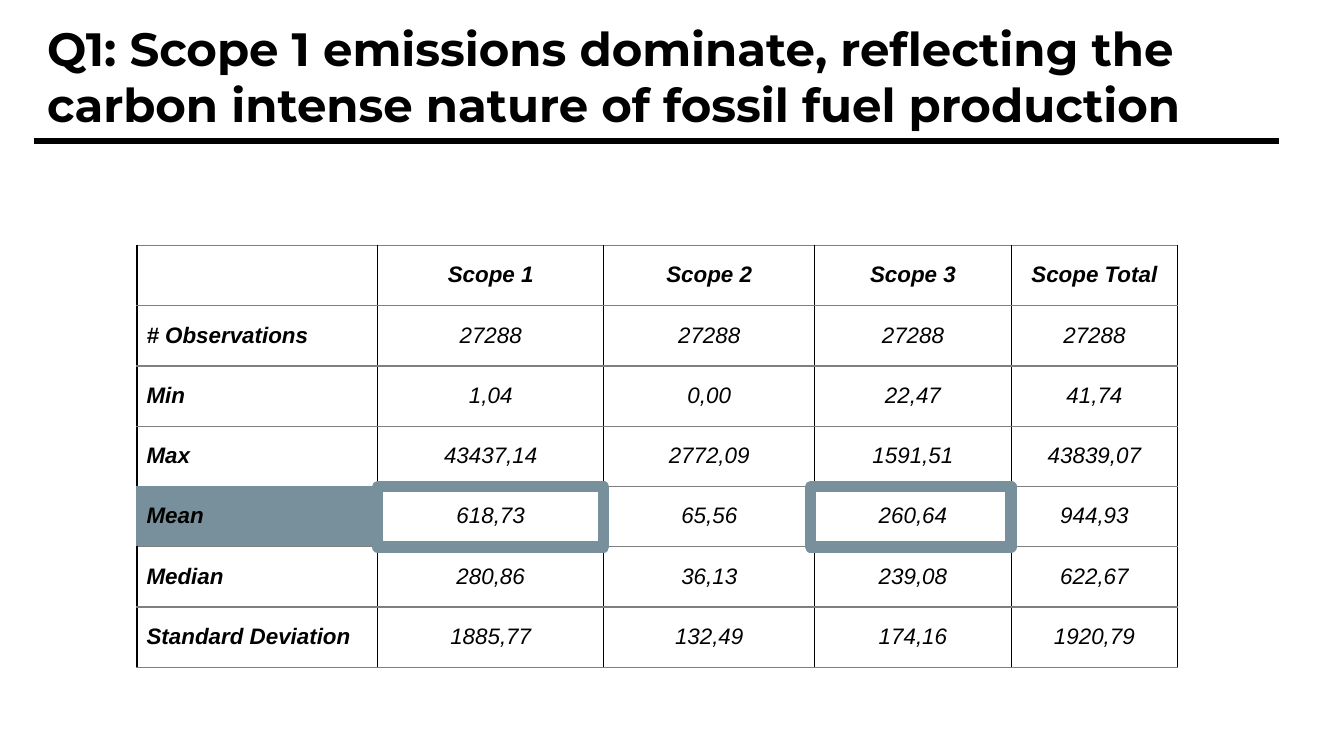
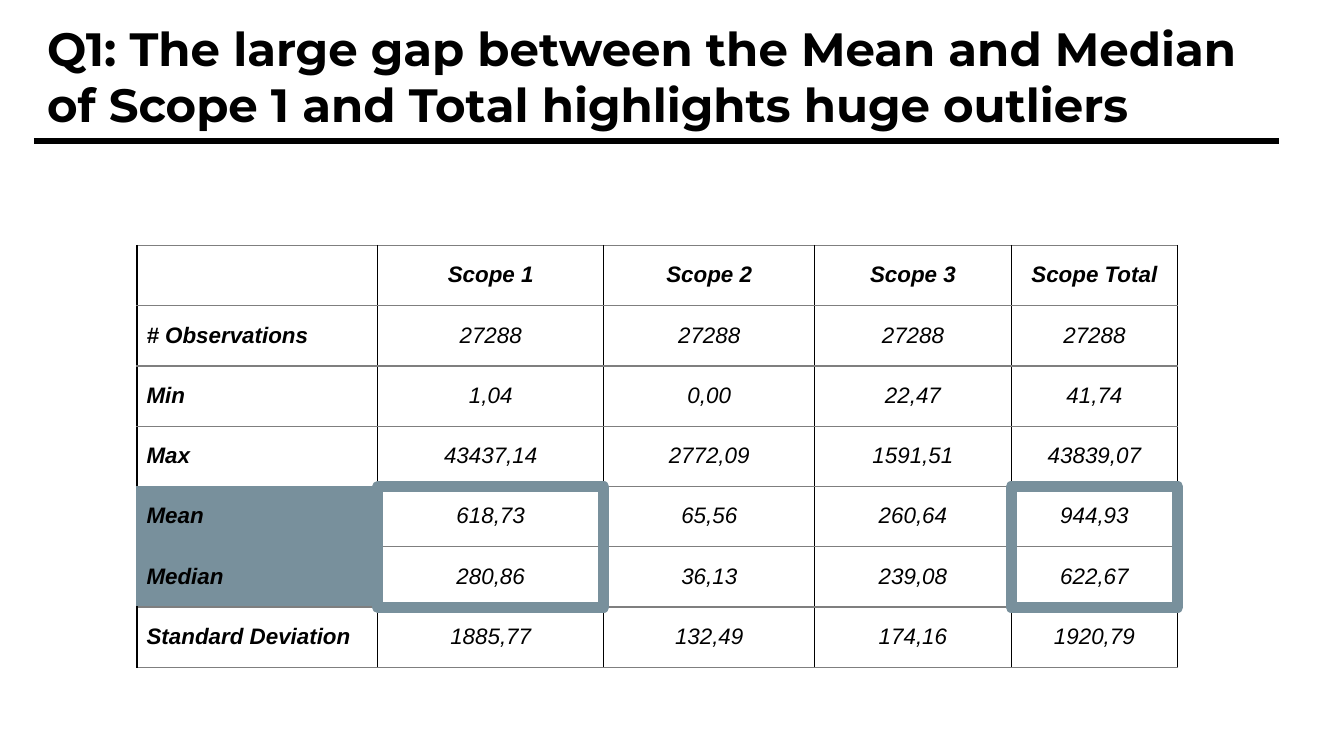
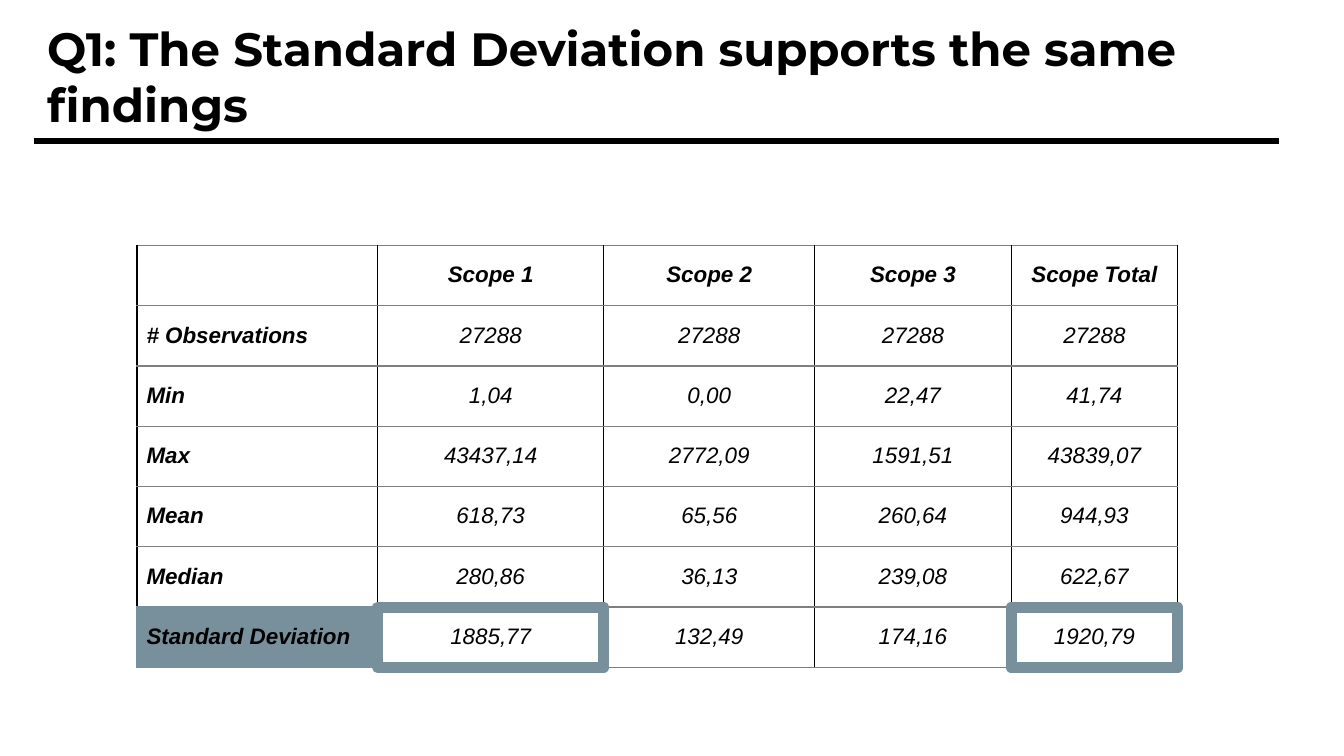
import itertools

import lxml.etree
import pptx
import pptx.dml.color
import pptx.enum.shapes
import pptx.enum.text
import pptx.oxml.ns
import pptx.util

Cm = pptx.util.Cm
Pt = pptx.util.Pt
ALIGN = pptx.enum.text.PP_ALIGN
ANCHOR = pptx.enum.text.MSO_ANCHOR

# Shared look
BLACK, GREY, SLATE = "000000", "7F7F7F", "78909C"
HEAD = {"name": "Montserrat", "size": Pt(25), "bold": True}
BODY = {"name": "Arial", "size": Pt(12), "italic": True}
PAD = {"margin_left": Cm(0.18), "margin_right": Cm(0.18),
       "margin_top": Cm(0.25), "margin_bottom": Cm(0.25)}

# Shared places, in cm: left, top, width, height
TITLE = (0.64, 0.13, 23.57, 2.72)
RULE = (0.64, 2.67, 23.54)
GRID = (2.59, 4.64)
COLS = (4.55, 4.27, 3.99, 3.71, 3.15)
ROW = 1.14

# Emission figures
STATS = (
    ("", "Scope 1", "Scope 2", "Scope 3", "Scope Total"),
    ("# Observations", "27288", "27288", "27288", "27288"),
    ("Min", "1,04", "0,00", "22,47", "41,74"),
    ("Max", "43437,14", "2772,09", "1591,51", "43839,07"),
    ("Mean", "618,73", "65,56", "260,64", "944,93"),
    ("Median", "280,86", "36,13", "239,08", "622,67"),
    ("Standard Deviation", "1885,77", "132,49", "174,16", "1920,79"),
)

# Title, marked rows, and framed columns with the overhang on their left
SLIDES = (
    ("Q1: Scope 1 emissions dominate, reflecting the carbon intense nature "
     "of fossil fuel production", (4,), ((3, 0.08), (1, 0))),
    ("Q1: The large gap between the Mean and Median of Scope 1 and Total "
     "highlights huge outliers", (4, 5), ((1, 0), (4, 0))),
    ("Q1: The Standard Deviation supports the same findings",
     (6,), ((1, 0), (4, 0))),
)


def tint(code):
    return pptx.dml.color.RGBColor.from_string(code)


def apply(item, form):
    for key, val in form.items():
        setattr(item, key, val)


def style(font, form, code=BLACK):
    apply(font, form)
    font.color.rgb = tint(code)


def stroke(line, code, width):
    line.color.rgb = tint(code)
    line.width = Pt(width)


def edge(cell, side, code):
    props = cell._tc.get_or_add_tcPr()
    name = pptx.oxml.ns.qn
    line = lxml.etree.SubElement(props, name("a:ln" + side), w=str(Pt(0.75)))
    fill = lxml.etree.SubElement(line, name("a:solidFill"))
    lxml.etree.SubElement(fill, name("a:srgbClr"), val=code)


def add_title(slide, text, box):
    title = slide.shapes.title
    apply(title, dict(zip(("left", "top", "width", "height"), map(Cm, box))))
    frame = title.text_frame
    frame.text = text
    apply(frame, dict.fromkeys(PAD, Cm(0.25)))
    apply(frame, {"word_wrap": True, "vertical_anchor": ANCHOR.TOP,
                  "auto_size": pptx.enum.text.MSO_AUTO_SIZE.NONE})
    para = frame.paragraphs[0]
    para.alignment = ALIGN.LEFT
    style(para.runs[0].font, HEAD)


def add_rule(slide, left, top, width):
    rule = slide.shapes.add_connector(
        pptx.enum.shapes.MSO_CONNECTOR.STRAIGHT,
        Cm(left), Cm(top), Cm(left + width), Cm(top))
    stroke(rule.line, BLACK, 3)
    lxml.etree.SubElement(rule._element.spPr, pptx.oxml.ns.qn("a:effectLst"))


def fill_cell(cell, text, head, label, marked):
    for side, code in zip("LRTB", (BLACK, BLACK, GREY, GREY)):
        edge(cell, side, SLATE if marked else code)
    if marked:
        cell.fill.solid()
        cell.fill.fore_color.rgb = tint(SLATE)
    else:
        cell.fill.background()
    if not text:
        return
    apply(cell, PAD)
    cell.text = text
    para = cell.text_frame.paragraphs[0]
    apply(para, {"line_spacing": 1.15,
                 "alignment": ALIGN.LEFT if label else ALIGN.CENTER})
    style(para.runs[0].font, {**BODY, "bold": head or label})


def add_stats(slide, left, top, marks):
    table = slide.shapes.add_table(
        len(STATS), len(COLS), Cm(left), Cm(top),
        Cm(sum(COLS)), Cm(ROW * len(STATS))).table
    apply(table, {"first_row": False, "horz_banding": False})
    for col, width in zip(table.columns, COLS):
        col.width = Cm(width)
    for row in table.rows:
        row.height = Cm(ROW)
    for r, c in itertools.product(range(len(STATS)), range(len(COLS))):
        fill_cell(table.cell(r, c), STATS[r][c],
                  r == 0, c == 0, c == 0 and r in marks)


def add_frame(slide, left, top, marks, col, over):
    # Outline the marked rows of one table column
    frame = slide.shapes.add_shape(
        pptx.enum.shapes.MSO_SHAPE.RECTANGLE,
        Cm(left + sum(COLS[:col]) - over), Cm(top + ROW * marks[0]),
        Cm(COLS[col] + over), Cm(ROW * len(marks)))
    frame.shadow.inherit = False
    frame.fill.background()
    stroke(frame.line, SLATE, 6)


def add_page(deck, text, marks, frames):
    slide = deck.slides.add_slide(deck.slide_layouts[5])
    add_title(slide, text, TITLE)
    add_rule(slide, *RULE)
    add_stats(slide, *GRID, marks)
    for col, over in frames:
        add_frame(slide, *GRID, marks, col, over)


def main():
    deck = pptx.Presentation()
    apply(deck, {"slide_width": Cm(25.4), "slide_height": Cm(14.29)})
    for page in SLIDES:
        add_page(deck, *page)
    deck.save("out.pptx")


if __name__ == "__main__":
    main()
